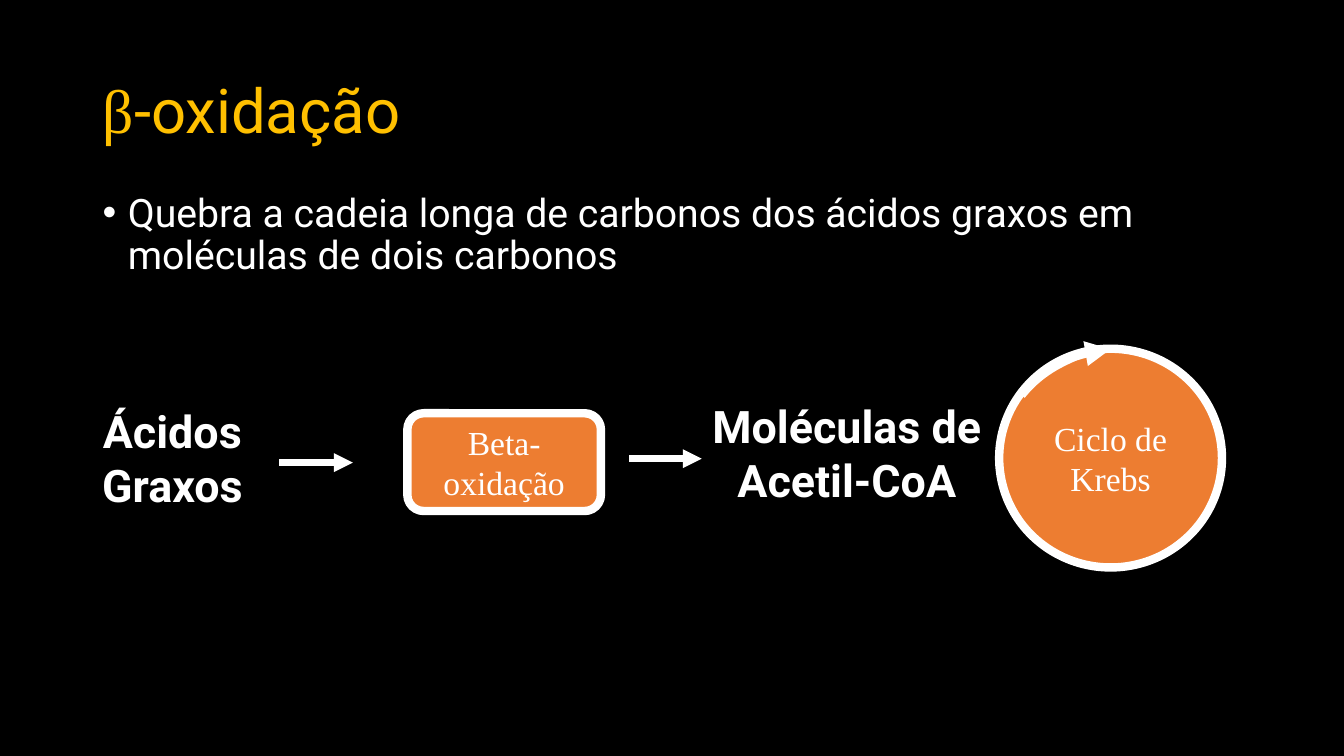
from dataclasses import dataclass

from lxml.etree import SubElement
from pptx import Presentation
from pptx.dml.color import RGBColor
from pptx.enum.shapes import MSO_CONNECTOR, MSO_SHAPE
from pptx.enum.text import MSO_ANCHOR as ANCHOR, MSO_AUTO_SIZE as AUTO, PP_ALIGN as ALIGN
from pptx.oxml.ns import qn
from pptx.util import Emu, Pt

EMU_PER_PX = 9144  # 100 px to the inch


@dataclass(frozen=True)
class Theme:
    background: str = "000000"
    title: str = "FFC000"
    text: str = "FFFFFF"
    node: str = "ED7D31"
    sans: str = "Roboto"
    serif: str = "Times New Roman"
    title_size: int = 44
    label_size: int = 32
    body_size: int = 28
    node_size: int = 24
    outline: float = 6
    arrow: float = 4.5


@dataclass(frozen=True)
class Box:
    left: int
    top: int
    width: int
    height: int

    def emu(self) -> tuple:
        return tuple(px(v) for v in (self.left, self.top, self.width, self.height))


@dataclass(frozen=True)
class Node:
    text: str
    preset: MSO_SHAPE
    box: Box


@dataclass(frozen=True)
class Label:
    lines: tuple
    box: Box


@dataclass(frozen=True)
class Arrow:
    left: int
    y: int
    length: int


THEME = Theme()
TITLE_BOX = Box(92, 40, 1150, 145)
BODY_BOX = Box(92, 187, 1150, 129)
BODY = "Quebra a cadeia longa de carbonos dos ácidos graxos em moléculas de dois carbonos"
BETA = Node("Beta-oxidação", MSO_SHAPE.ROUNDED_RECTANGLE, Box(404, 410, 192, 97))
KREBS = Node("Ciclo de Krebs", MSO_SHAPE.OVAL, Box(991, 346, 221, 217))
CYCLE_BOX = Box(991, 346, 244, 217)
CYCLE_DEGREES = (212, 263.9)
LABELS = (
    Label(("Moléculas de", "Acetil-CoA"), Box(694, 391, 292, 118)),
    Label(("Ácidos Graxos",), Box(25, 396, 292, 118)),
)
ARROWS = (Arrow(624, 455, 72), Arrow(277, 459, 73))


def px(value: int) -> Emu:
    return Emu(value * EMU_PER_PX)


def rgb(color: str) -> RGBColor:
    return RGBColor.from_string(color)


def add_run(p, text: str, *, size: int, font: str = THEME.sans,
            color: str = THEME.text, bold: bool = False) -> None:
    r = p.add_run()
    r.text = text
    r.font.size, r.font.name, r.font.bold = Pt(size), font, bold
    r.font.color.rgb = rgb(color)


def set_line(sp, width: float, arrowhead: bool = False) -> None:
    sp.line.color.rgb = rgb(THEME.text)
    sp.line.width = Pt(width)
    if arrowhead:
        SubElement(sp.line._get_or_add_ln(), qn("a:tailEnd"), type="triangle")


def add_title(slide) -> None:
    sp = slide.shapes.title
    sp.left, sp.top, sp.width, sp.height = TITLE_BOX.emu()
    tf = sp.text_frame
    tf.auto_size, tf.vertical_anchor = AUTO.NONE, ANCHOR.MIDDLE
    p = tf.paragraphs[0]
    p.alignment, p.line_spacing = ALIGN.LEFT, 0.9
    for text, font in (("β", THEME.serif), ("-oxidação", THEME.sans)):
        add_run(p, text, size=THEME.title_size, font=font, color=THEME.title)


def add_body(slide) -> None:
    tf = slide.shapes.add_textbox(*BODY_BOX.emu()).text_frame
    tf.word_wrap = True
    p = tf.paragraphs[0]
    p.line_spacing = 0.9
    pPr = p._p.get_or_add_pPr()
    pPr.set("marL", str(px(25)))
    pPr.set("indent", str(-px(25)))
    SubElement(pPr, qn("a:buFont"), typeface="Arial")
    SubElement(pPr, qn("a:buChar"), char="•")
    add_run(p, BODY, size=THEME.body_size)


def add_node(shapes, node: Node) -> None:
    sp = shapes.add_shape(node.preset, *node.box.emu())
    sp.shadow.inherit = False
    sp.fill.solid()
    sp.fill.fore_color.rgb = rgb(THEME.node)
    set_line(sp, THEME.outline)
    tf = sp.text_frame
    tf.word_wrap, tf.vertical_anchor = True, ANCHOR.MIDDLE
    p = tf.paragraphs[0]
    p.alignment = ALIGN.CENTER
    add_run(p, node.text, size=THEME.node_size, font=THEME.serif)


def add_cycle(slide) -> None:
    """Group the Krebs circle with the arc arrow along its rim."""
    shapes = slide.shapes.add_group_shape().shapes
    add_node(shapes, KREBS)
    arc = shapes.add_shape(MSO_SHAPE.ARC, *CYCLE_BOX.emu())
    arc.shadow.inherit = False
    arc.fill.background()
    for i, degrees in enumerate(CYCLE_DEGREES):
        arc.adjustments[i] = degrees * 0.6  # 60000 units a degree, over 100000
    set_line(arc, THEME.outline, arrowhead=True)


def add_label(slide, label: Label) -> None:
    tf = slide.shapes.add_textbox(*label.box.emu()).text_frame
    tf.word_wrap, tf.auto_size = True, AUTO.SHAPE_TO_FIT_TEXT
    for i, line in enumerate(label.lines):
        p = tf.add_paragraph() if i else tf.paragraphs[0]
        p.alignment = ALIGN.CENTER
        add_run(p, line, size=THEME.label_size, bold=True)


def add_arrow(slide, arrow: Arrow) -> None:
    y = px(arrow.y)
    line = slide.shapes.add_connector(
        MSO_CONNECTOR.STRAIGHT, px(arrow.left), y, px(arrow.left + arrow.length), y)
    set_line(line, THEME.arrow, arrowhead=True)
    SubElement(line._element.spPr, qn("a:effectLst"))


def main() -> None:
    prs = Presentation()
    prs.slide_width, prs.slide_height = px(1333), px(750)
    slide = prs.slides.add_slide(prs.slide_layouts.get_by_name("Title Only"))
    slide.background.fill.solid()
    slide.background.fill.fore_color.rgb = rgb(THEME.background)
    add_title(slide)
    add_body(slide)
    add_node(slide.shapes, BETA)
    add_cycle(slide)
    for label in LABELS:
        add_label(slide, label)
    for arrow in ARROWS:
        add_arrow(slide, arrow)
    prs.save("out.pptx")


if __name__ == "__main__":
    main()
